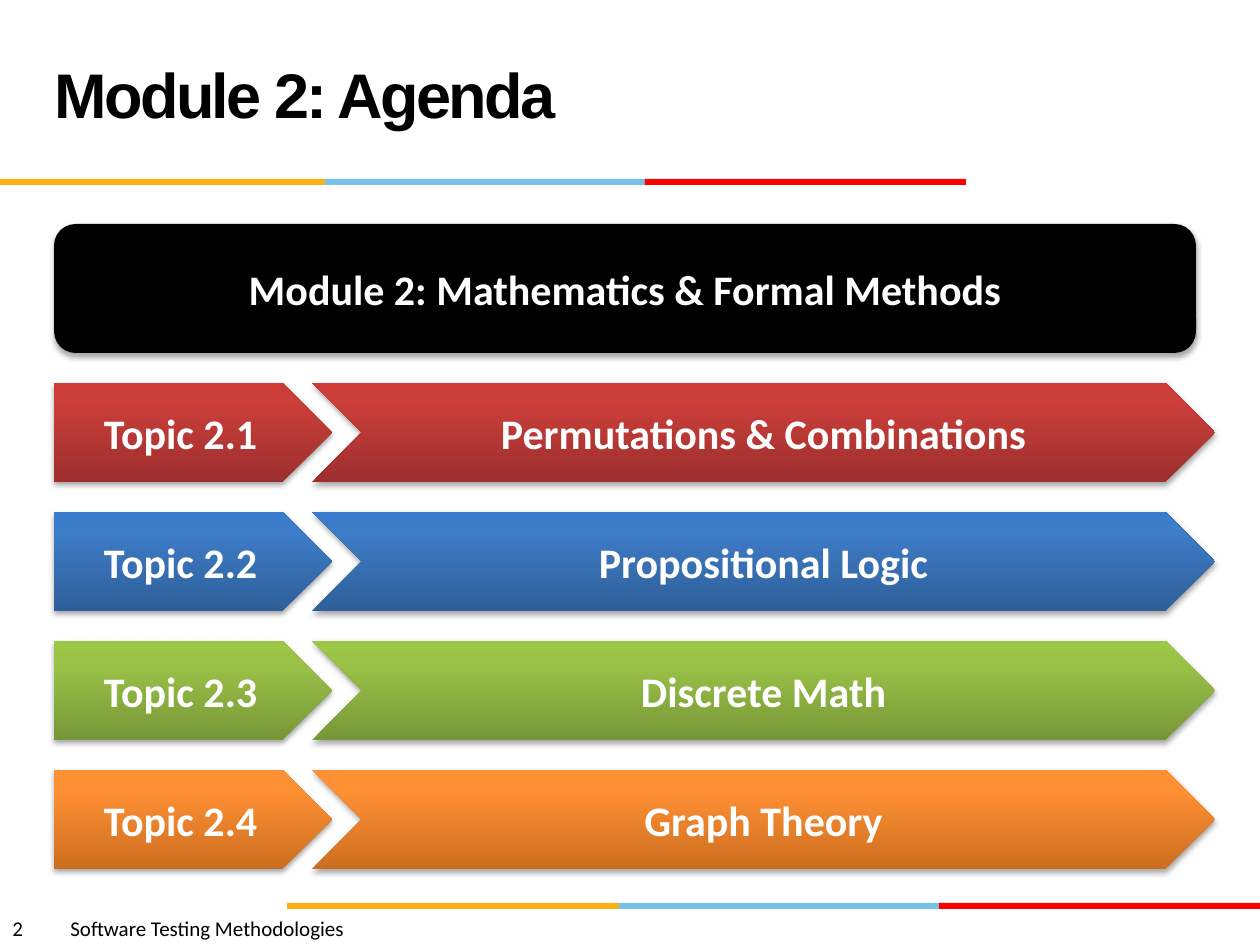
from copy import deepcopy

from lxml.etree import SubElement
from pptx import Presentation
from pptx.dml.color import RGBColor
from pptx.enum.shapes import MSO_SHAPE
from pptx.enum.text import MSO_ANCHOR, PP_ALIGN
from pptx.oxml.ns import qn
from pptx.util import Emu, Pt

COLORS = {
    "black": "000000", "white": "FFFFFF",
    "amber": "FCB017", "sky": "76C2E5", "red": "FF0000",
}
# Each topic has its name and its gradient from bottom to top.
TOPICS = [
    ("Permutations & Combinations", ("9C2F2D", "CB3E3A", "CE3B37")),
    ("Propositional Logic", ("2F5F99", "3D7CC7", "3A7CCB")),
    ("Discrete Math", ("779737", "9BC348", "9DC746")),
    ("Graph Theory", ("CC6E20", "FF9034", "FF9136")),
]
GRADIENT_POSITIONS = (0, 0.8, 1)


def px(*lengths):
    """Turn pixel lengths (126 to the inch) into EMU."""
    return [Emu(round(length * 914400 / 126)) for length in lengths]


def add_banner(slide, preset, box, text, fills):
    """Add a shadowed shape with a bold caption, filled plain or with a gradient."""
    shape = slide.shapes.add_shape(preset, *px(*box))
    shape.line.fill.background()
    if len(fills) == 1:
        shape.fill.solid()
        shape.fill.fore_color.rgb = RGBColor.from_string(fills[0])
    else:
        shape.fill.gradient()
        shape.fill.gradient_angle = 90
        stop_list = shape._element.spPr.find(".//" + qn("a:gsLst"))
        stop_list.append(deepcopy(stop_list[-1]))
        for stop, position, color in zip(shape.fill.gradient_stops, GRADIENT_POSITIONS, fills):
            stop.position = position
            stop.color.rgb = RGBColor.from_string(color)

    shape.shadow.inherit = False
    effects = shape._element.spPr.find(qn("a:effectLst"))
    shadow = SubElement(effects, qn("a:outerShdw"), blurRad="40000", dist="23000",
                        dir="5400000", rotWithShape="0")
    shade = SubElement(shadow, qn("a:srgbClr"), val=COLORS["black"])
    SubElement(shade, qn("a:alpha"), val="35000")

    shape.text_frame.vertical_anchor = MSO_ANCHOR.MIDDLE
    para = shape.text_frame.paragraphs[0]
    para.alignment = PP_ALIGN.CENTER
    span = para.add_run()
    span.text = text
    span.font.name = "Calibri"
    span.font.size = Pt(24)
    span.font.bold = True
    span.font.color.rgb = RGBColor.from_string(COLORS["white"])


deck = Presentation()
deck.slide_width, deck.slide_height = px(1260, 945)
page = deck.slides.add_slide(deck.slide_layouts[5])

# Three-colour rules under the title and above the footer
for top, edges in ((179, (0, 325, 645, 966)), (903, (287, 619, 939, 1260))):
    for name, left, right in zip(("amber", "sky", "red"), edges, edges[1:]):
        rule = page.shapes.add_shape(MSO_SHAPE.RECTANGLE, *px(left, top, right - left, 6))
        rule.shadow.inherit = False
        rule.line.fill.background()
        rule.fill.solid()
        rule.fill.fore_color.rgb = RGBColor.from_string(COLORS[name])

# Footer: page number and course name, parted by a tab stop
footer = page.shapes.add_textbox(*px(0, 909, 630, 38))
footer.text_frame.word_wrap = True
para = footer.text_frame.paragraphs[0]
tabs = SubElement(para._p.get_or_add_pPr(), qn("a:tabLst"))
SubElement(tabs, qn("a:tab"), pos=str(px(58)[0]), algn="l")
for text in ("2", "\tSoftware Testing Methodologies"):
    span = para.add_run()
    span.text = text
    span.font.name = "Calibri"
    span.font.size = Pt(12)
    span.font.color.rgb = RGBColor.from_string(COLORS["black"])

title = page.shapes.title
title.left, title.top, title.width, title.height = px(42, 21, 872, 158)
title.text_frame.vertical_anchor = MSO_ANCHOR.MIDDLE
para = title.text_frame.paragraphs[0]
para.alignment = PP_ALIGN.LEFT
para.line_spacing = Pt(36)
span = para.add_run()
span.text = "Module 2: Agenda"
span.font.name = "Arial"
span.font.size = Pt(36)
span.font.bold = True
span.font.color.rgb = RGBColor.from_string(COLORS["black"])
span.font._element.set("spc", "-150")

for index, (topic, gradient) in enumerate(TOPICS):
    top = 383 + 129 * index
    add_banner(page, MSO_SHAPE.PENTAGON, (54, top, 278, 99), f"Topic 2.{index + 1}", gradient)
    add_banner(page, MSO_SHAPE.CHEVRON, (312, top, 903, 99), topic, gradient)

add_banner(page, MSO_SHAPE.ROUNDED_RECTANGLE, (54, 224, 1142, 129),
           "Module 2: Mathematics & Formal Methods", (COLORS["black"],))

deck.save("out.pptx")
